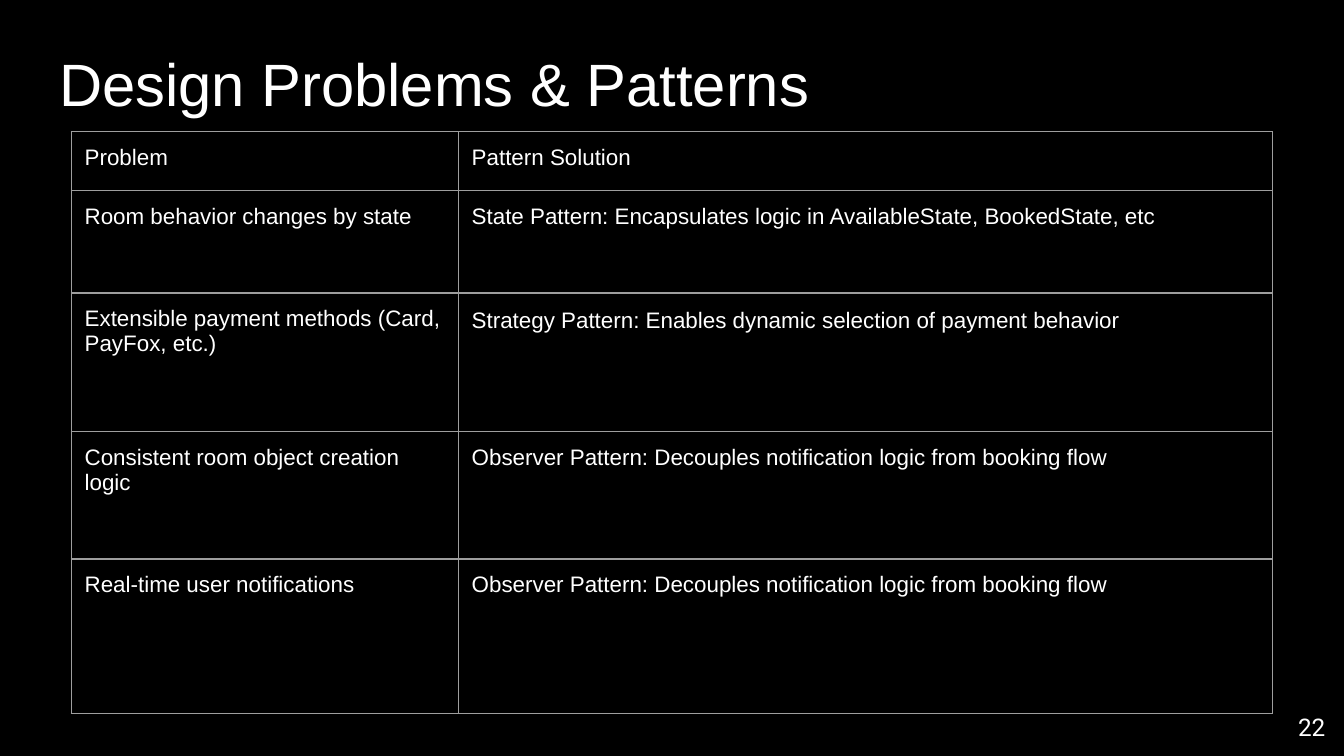
from dataclasses import dataclass

from lxml.etree import SubElement
from pptx import Presentation
from pptx.dml.color import RGBColor
from pptx.enum.text import MSO_ANCHOR, PP_ALIGN
from pptx.oxml.ns import qn
from pptx.slide import Slide
from pptx.table import _Cell
from pptx.text.text import TextFrame
from pptx.util import Inches, Pt

SLIDE_WIDTH = 10
SLIDE_HEIGHT = SLIDE_WIDTH * 9 / 16
COLORS = {"background": "000000", "text": "FFFFFF", "border": "9E9E9E"}
INSET = Inches(0.1)
BORDER_WIDTH = Pt(0.75)

TABLE_LEFT, TABLE_TOP = 0.53, 0.98
COLUMN_WIDTHS = (2.88, 6.06)


@dataclass(frozen=True)
class Label:
    """A text box whose place is given in percent of the slide's size."""
    text: str
    left: float
    top: float
    width: float
    height: float
    size: float
    font: str = "Arial"
    align: PP_ALIGN = PP_ALIGN.LEFT
    anchor: MSO_ANCHOR = MSO_ANCHOR.TOP


@dataclass(frozen=True)
class PatternRow:
    problem: str
    solution: str
    height: float
    line_spacing: float = 1.0
    space_after: float = 0


LABELS = (
    Label("Design Problems & Patterns", 3.41, 4.4, 93.2, 11.2, 32),
    Label("22", 93.6, 92.3, 6, 7.6, 13, "Roboto", PP_ALIGN.RIGHT, MSO_ANCHOR.MIDDLE),
)

OBSERVER = "Observer Pattern: Decouples notification logic from booking flow"
ROWS = (
    PatternRow("Problem", "Pattern Solution", 0.44),
    PatternRow("Room behavior changes by state",
               "State Pattern: Encapsulates logic in AvailableState, BookedState, etc", 0.76),
    PatternRow("Extensible payment methods (Card, PayFox, etc.)",
               "Strategy Pattern: Enables dynamic selection of payment behavior",
               1.03, 1.08, 8),
    PatternRow("Consistent room object creation logic", OBSERVER, 0.95),
    PatternRow("Real-time user notifications", OBSERVER, 1.15),
)


def color(name: str) -> RGBColor:
    return RGBColor.from_string(COLORS[name])


def write_text(text_frame: TextFrame, text: str, size: float, font: str = "Arial") -> None:
    text_frame.text = text
    text_frame.word_wrap = True
    for run in text_frame.paragraphs[0].runs:
        run.font.size = Pt(size)
        run.font.name = font
        run.font.color.rgb = color("text")


def set_margins(holder: TextFrame | _Cell) -> None:
    holder.margin_left = holder.margin_right = INSET
    holder.margin_top = holder.margin_bottom = INSET


def add_label(slide: Slide, label: Label) -> None:
    shape = slide.shapes.add_textbox(
        Inches(label.left / 100 * SLIDE_WIDTH), Inches(label.top / 100 * SLIDE_HEIGHT),
        Inches(label.width / 100 * SLIDE_WIDTH), Inches(label.height / 100 * SLIDE_HEIGHT))
    text_frame = shape.text_frame
    write_text(text_frame, label.text, label.size, label.font)
    set_margins(text_frame)
    text_frame.vertical_anchor = label.anchor
    text_frame.paragraphs[0].alignment = label.align


def style_cell(cell: _Cell) -> None:
    set_margins(cell)
    properties = cell._tc.get_or_add_tcPr()
    # Borders come before the fill in the cell's properties
    for side in ("a:lnL", "a:lnR", "a:lnT", "a:lnB"):
        line = SubElement(properties, qn(side), w=str(BORDER_WIDTH))
        fill = SubElement(line, qn("a:solidFill"))
        SubElement(fill, qn("a:srgbClr"), val=COLORS["border"])
    cell.fill.background()


def add_pattern_table(slide: Slide, rows: tuple[PatternRow, ...]) -> None:
    frame = slide.shapes.add_table(
        len(rows), len(COLUMN_WIDTHS), Inches(TABLE_LEFT), Inches(TABLE_TOP),
        Inches(sum(COLUMN_WIDTHS)), Inches(sum(row.height for row in rows)))
    table = frame.table
    table.first_row = table.horz_banding = False
    for column, width in zip(table.columns, COLUMN_WIDTHS):
        column.width = Inches(width)
    for table_row, row in zip(table.rows, rows):
        table_row.height = Inches(row.height)
        for cell, text in zip(table_row.cells, (row.problem, row.solution)):
            write_text(cell.text_frame, text, 12)
            style_cell(cell)
        if row.space_after:
            paragraph = table_row.cells[1].text_frame.paragraphs[0]
            paragraph.line_spacing = row.line_spacing
            paragraph.space_after = Pt(row.space_after)


def main() -> None:
    presentation = Presentation()
    presentation.slide_width = Inches(SLIDE_WIDTH)
    presentation.slide_height = Inches(SLIDE_HEIGHT)
    slide = presentation.slides.add_slide(presentation.slide_layouts[6])
    slide.background.fill.solid()
    slide.background.fill.fore_color.rgb = color("background")

    # Title and page number
    for label in LABELS:
        add_label(slide, label)

    # Problems and the patterns that solve them
    add_pattern_table(slide, ROWS)
    presentation.save("out.pptx")


if __name__ == "__main__":
    main()
